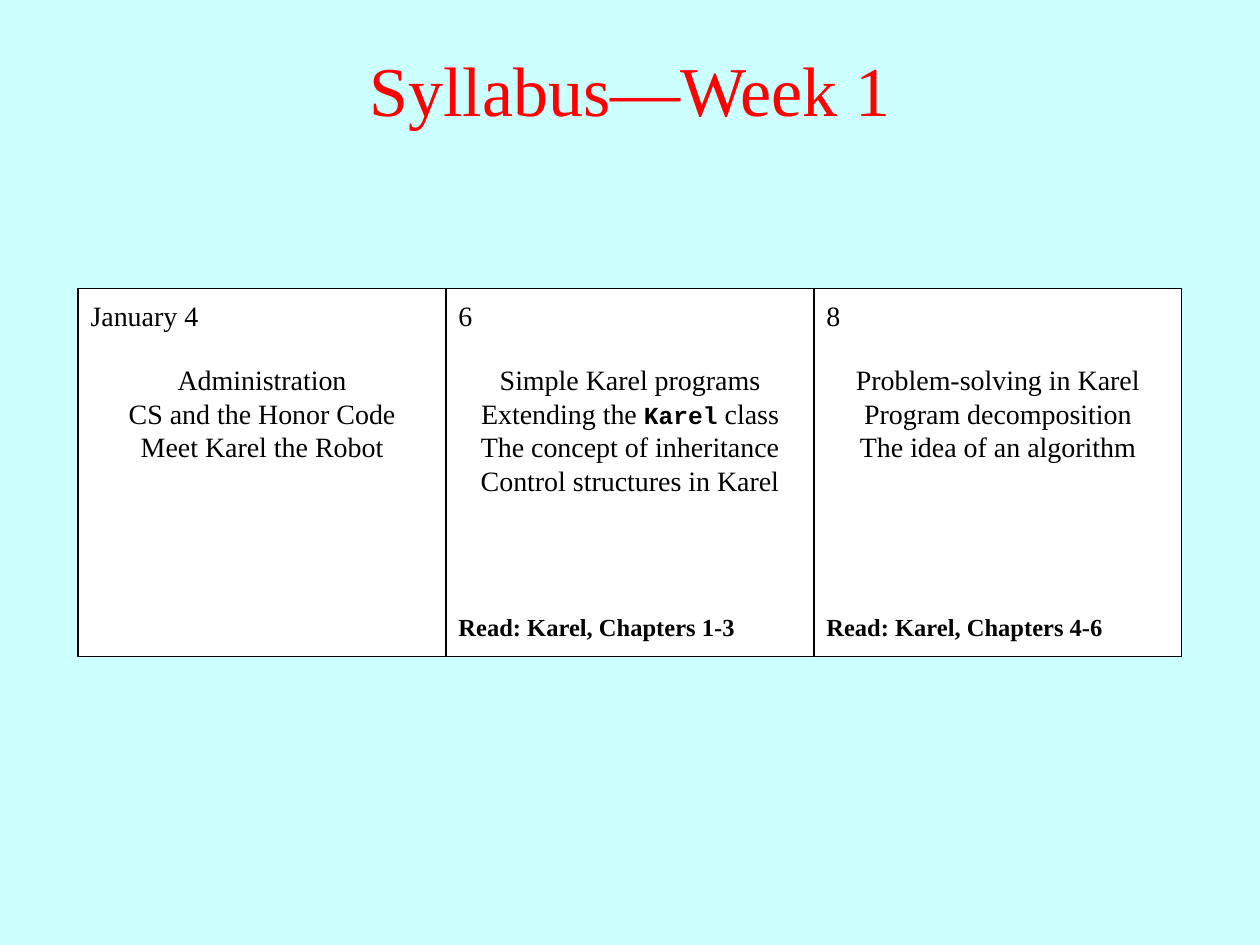
from pptx import Presentation
from pptx import util as u
from pptx.dml.color import RGBColor
from pptx.enum import shapes, text

HUES = {"back": "CCFFFF", "title": "FF0000", "ink": "000000", "card": "FFFFFF"}
SIDE = 2.92
LEFT, TOP = 0.62, 2.29
CODE = {"size": u.Pt(14), "name": "Courier New", "bold": True}
READ = {"size": u.Pt(14), "bold": True}

DAYS = [
    ("January 4",
     ["Administration", "CS and the Honor Code", "Meet Karel the Robot"],
     None),
    ("6",
     ["Simple Karel programs",
      ["Extending the ", ("Karel", CODE), " class"],
      "The concept of inheritance", "Control structures in Karel"],
     "Read: Karel, Chapters 1-3"),
    ("8",
     ["Problem-solving in Karel", "Program decomposition",
      "The idea of an algorithm"],
     "Read: Karel, Chapters 4-6"),
]


def hue(key):
    return RGBColor.from_string(HUES[key])


class Deck:
    """Holds the type style and the current slide."""

    font = {"name": "Times New Roman", "size": u.Pt(16), "bold": False}
    left, mid = text.PP_ALIGN.LEFT, text.PP_ALIGN.CENTER

    def __init__(self):
        self.prs = Presentation()
        self.prs.slide_width = u.Inches(10)
        self.prs.slide_height = u.Inches(7.5)
        self.slide = self.prs.slides.add_slide(self.prs.slide_layouts[6])
        fill = self.slide.background.fill
        fill.solid()
        fill.fore_color.rgb = hue("back")

    def label(self, home, area, lines, align=left, color="ink",
              anchor=text.MSO_ANCHOR.TOP, **style):
        """Add text; a line is a string or a list of strings and (string, style) pairs."""
        box = home.add_textbox(*map(u.Inches, area))
        frame = box.text_frame
        frame.word_wrap = True
        frame.vertical_anchor = anchor
        for i, line in enumerate(lines):
            para = frame.paragraphs[0] if i == 0 else frame.add_paragraph()
            para.alignment = align
            for part in [line] if isinstance(line, str) else line:
                words, extra = (part, {}) if isinstance(part, str) else part
                run = para.add_run()
                run.text = words
                run.font.color.rgb = hue(color)
                for key, val in {**self.font, **style, **extra}.items():
                    setattr(run.font, key, val)
        return frame

    def card(self, home, x):
        box = home.add_shape(shapes.MSO_SHAPE.RECTANGLE,
                             *map(u.Inches, (x, TOP, SIDE, SIDE)))
        box.shadow.inherit = False
        box.fill.solid()
        box.fill.fore_color.rgb = hue("card")
        box.line.color.rgb = hue("ink")
        box.line.width = u.Pt(0.75)

    def day(self, x, date, topics, read):
        home = self.slide.shapes.add_group_shape().shapes
        self.card(home, x)
        self.label(home, (x, 2.32, SIDE, 0.37), [date])
        tall = 0.1 + 0.27 * len(topics)
        self.label(home, (x, 2.83, SIDE, tall), topics, self.mid)
        if read:
            frame = self.label(home, (x, 4.56, SIDE, 0.56), [read],
                               anchor=text.MSO_ANCHOR.BOTTOM, **READ)
            frame.margin_bottom = u.Inches(0.03)


def main():
    deck = Deck()
    deck.label(deck.slide.shapes, (0, 0.08, 10, 1.25), ["Syllabus—Week 1"],
               deck.mid, "title", text.MSO_ANCHOR.MIDDLE, size=u.Pt(40))
    for i, day in enumerate(DAYS):
        deck.day(LEFT + i * SIDE, *day)
    deck.prs.save("out.pptx")


if __name__ == "__main__":
    main()
